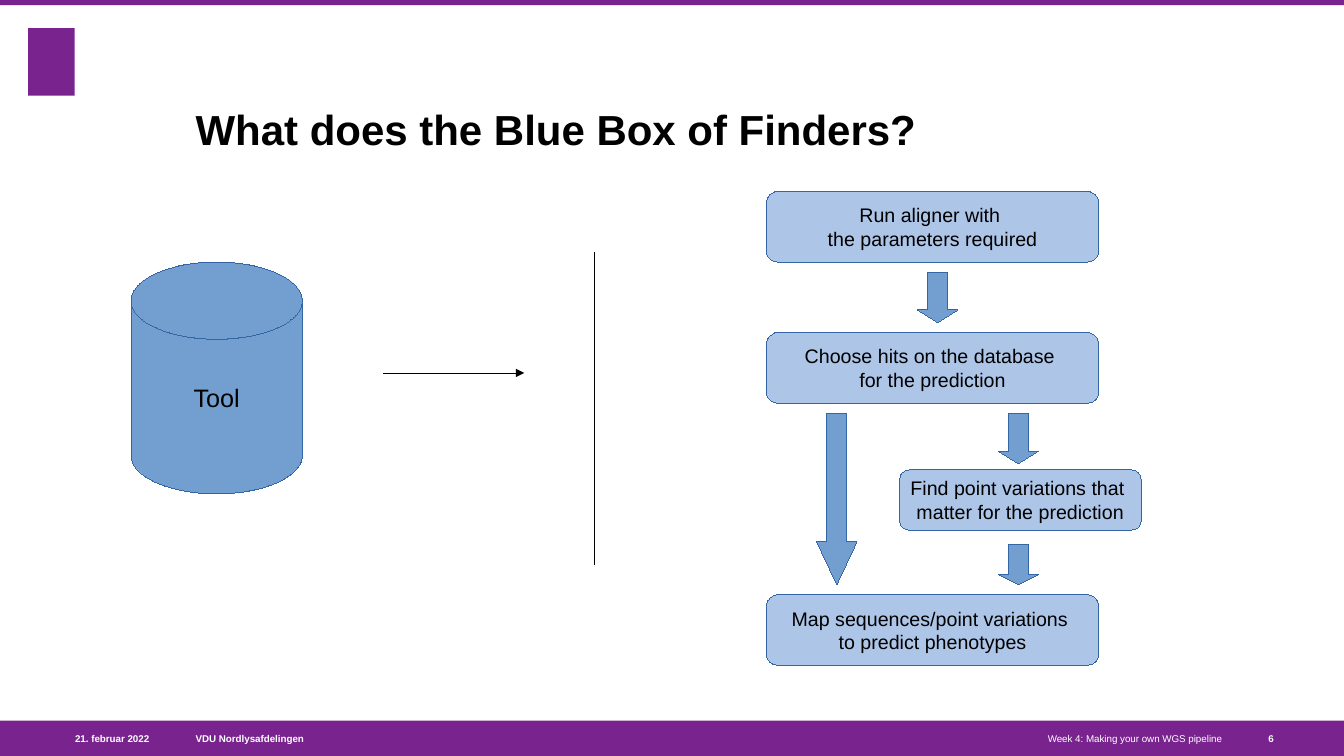
from pptx import Presentation
from pptx.dml.color import RGBColor
from pptx.enum.shapes import MSO_CONNECTOR as Link, MSO_SHAPE as Shape
from pptx.enum.text import MSO_ANCHOR as Anchor, PP_ALIGN as Align
from pptx.oxml.ns import qn
from pptx.util import Pt
from lxml import etree

PX = 9144  # 100 px to the inch
WIDTH, HEIGHT = 1333, 750
PURPLE, WHITE, BLACK = "79238E", "FFFFFF", "000000"
BLUE, PALE_BLUE, EDGE = "729FCF", "ADC5E7", "3465A4"
HAIRLINE = Pt(0.01)

# Content: left, top, width, height in px
BANDS = [(0, 715, WIDTH, 35), (0, 0, WIDTH, 5)]
LOGO_BLOCK = (28, 28, 46, 67)
TITLE = ("What does the Blue Box of Finders?", (194, 47, 1018, 106))
FOOTER = [  # text, left, width, alignment, bold
    ("VDU Nordlysafdelingen", 194, 371, Align.LEFT, True),
    ("21. februar 2022", 27, 121, Align.RIGHT, True),
    ("Week 4: Making your own WGS pipeline", 611, 601, Align.RIGHT, False),
    ("6", 1258, 47, Align.LEFT, True),
]
TOOL = ("Tool", (130, 260, 170, 230))
STEPS = [
    (["Run aligner with ", "the parameters required"], (760, 190, 330, 70)),
    (["Choose hits on the database ", "for the prediction"], (760, 330, 330, 70)),
    (["Find point variations that ", "matter for the prediction"], (892, 466, 240, 60)),
    (["Map sequences/point variations ", "to predict phenotypes"], (760, 590, 330, 70)),
]
FLOW_ARROWS = [(930, 270, 50), (830, 410, 170), (1010, 410, 50), (1010, 540, 40)]  # centre, top, length
FLOW_WIDTH = 40
LINES = [((590, 250), (590, 560), False), ((380, 370), (520, 370), True)]  # from, to, arrowhead


def color(value):
    return RGBColor.from_string(value)


def emu(lengths):
    return [length * PX for length in lengths]


def write(box, lines, size, ink=BLACK, bold=False, align=Align.LEFT,
          anchor=Anchor.MIDDLE, margins=(0, 0), wrap=True):
    frame = box.text_frame
    frame.word_wrap = wrap
    frame.vertical_anchor = anchor
    frame.margin_left = frame.margin_right = margins[0] * PX
    frame.margin_top = frame.margin_bottom = margins[1] * PX
    for index, line in enumerate(lines):
        para = frame.add_paragraph() if index else frame.paragraphs[0]
        para.alignment = align
        span = para.add_run()
        span.text = line
        span.font.name = "Arial"
        span.font.size = Pt(size)
        span.font.bold = bold
        span.font.color.rgb = color(ink)


def add_box(kind, place, fill, edge=None):
    box = page.shapes.add_shape(kind, *emu(place))
    box.shadow.inherit = False
    box.fill.solid()
    box.fill.fore_color.rgb = color(fill)
    if edge:
        box.line.color.rgb = color(edge)
        box.line.width = HAIRLINE
    else:
        box.line.fill.background()
    return box


def add_label(text, place, size, **style):
    write(page.shapes.add_textbox(*emu(place)), [text], size, **style)


def add_line(start, end, arrowhead):
    line = page.shapes.add_connector(Link.STRAIGHT, *emu(start + end))
    line.line.color.rgb = color(BLACK)
    line.line.width = HAIRLINE
    properties = line._element.spPr
    if arrowhead:
        etree.SubElement(properties.find(qn("a:ln")), qn("a:tailEnd"), type="triangle")
    etree.SubElement(properties, qn("a:effectLst"))


deck = Presentation()
deck.slide_width, deck.slide_height = emu((WIDTH, HEIGHT))
page = deck.slides.add_slide(deck.slide_layouts[6])

# Bands, logo block, footer and title
add_box(Shape.RECTANGLE, LOGO_BLOCK, PURPLE)
for band in BANDS:
    add_box(Shape.RECTANGLE, band, PURPLE)
for text, left, width, align, bold in FOOTER:
    add_label(text, (left, 715, width, 35), 7, ink=WHITE, bold=bold, align=align)
add_label(*TITLE, 30, bold=True, anchor=Anchor.BOTTOM)

# Tool, divider and pointer
inside = {"align": Align.CENTER, "margins": (10, 5), "wrap": False}
tool_text, tool_place = TOOL
tool = add_box(Shape.FLOWCHART_MAGNETIC_DISK, tool_place, BLUE, EDGE)
write(tool, [tool_text], 18, **inside)
for start, end, arrowhead in LINES:
    add_line(start, end, arrowhead)

# Steps of the flow
for lines, place in STEPS:
    write(add_box(Shape.ROUNDED_RECTANGLE, place, PALE_BLUE, EDGE), lines, 14, **inside)

# Block arrows: the head takes a quarter of the length
for centre, top, length in FLOW_ARROWS:
    place = (centre - FLOW_WIDTH // 2, top, FLOW_WIDTH, length)
    arrow = add_box(Shape.DOWN_ARROW, place, BLUE, EDGE)
    arrow.adjustments[0] = 0.5
    arrow.adjustments[1] = length / 4 / FLOW_WIDTH

deck.save("out.pptx")
